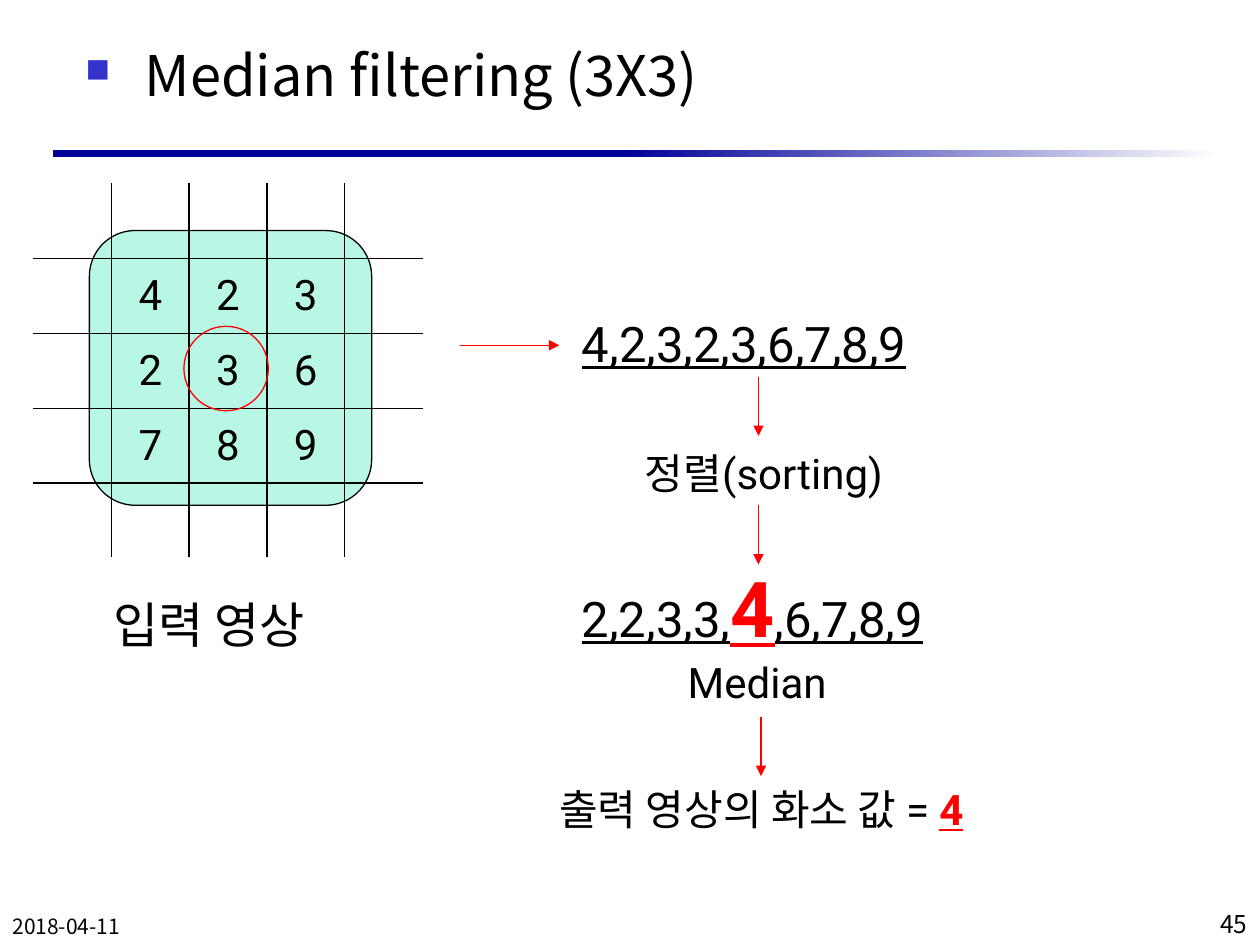
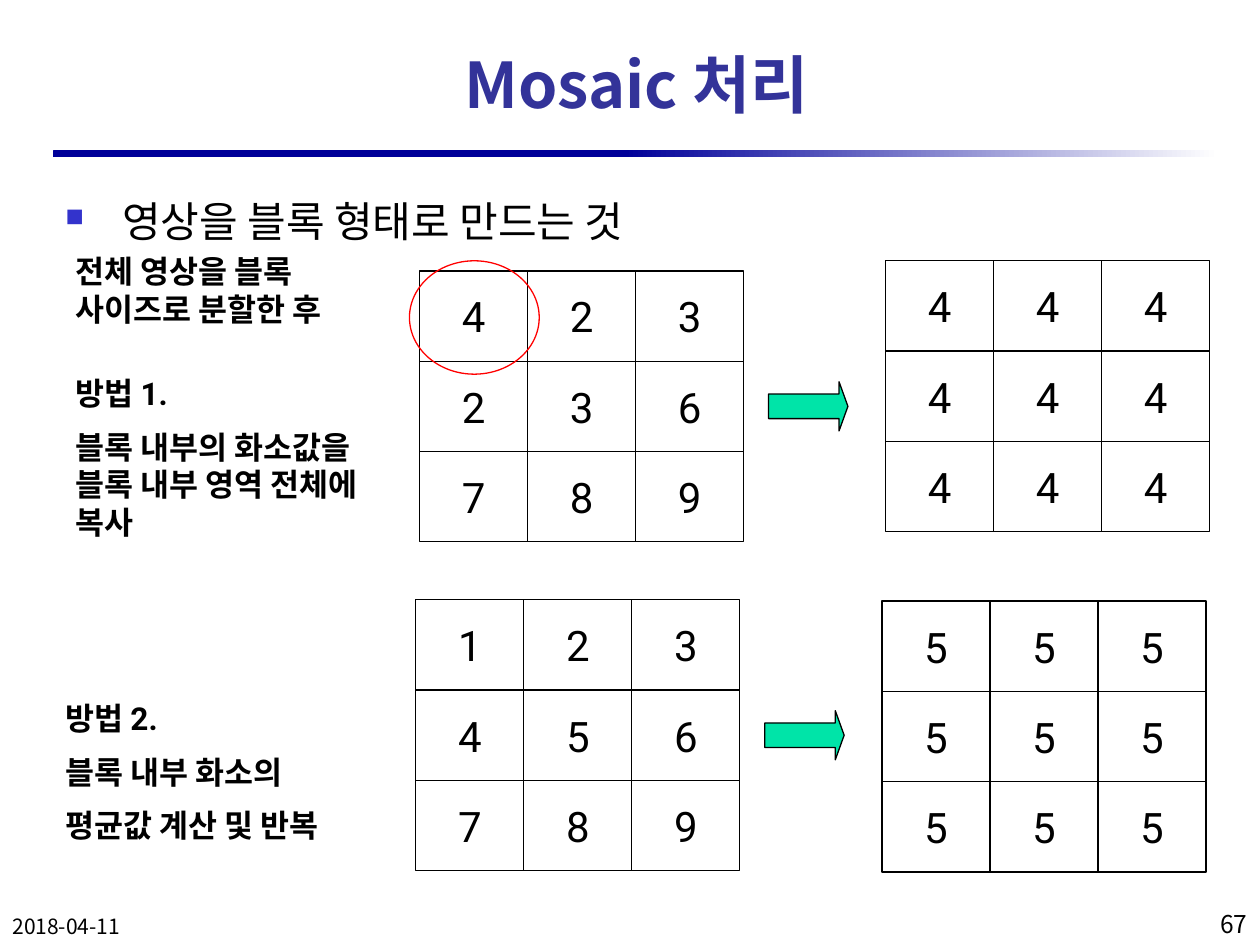
from lxml.etree import SubElement
from pptx import Presentation
from pptx.dml.color import RGBColor
from pptx.enum.shapes import MSO_CONNECTOR, MSO_SHAPE
from pptx.enum.text import MSO_ANCHOR, PP_ALIGN
from pptx.oxml.ns import qn
from pptx.util import Inches, Pt

BLACK, WHITE, RED = "000000", "FFFFFF", "FF0000"
NAVY, TITLE, MARK, GREEN = "000099", "333399", "3333CC", "00E4A8"
SANS, KOREAN = "Roboto", "Noto Sans CJK KR"
DATE = "2018-04-11"
CELL_W, CELL_H = 0.857, 0.717
COUNT = [[1, 2, 3], [4, 5, 6], [7, 8, 9]]
BLOCK = [[4, 2, 3], [2, 3, 6], [7, 8, 9]]


def color(code):
    return RGBColor.from_string(code)


def sub(node, tag, **attrs):
    return SubElement(node, qn(tag), attrs)


def box(x, y, w, h):
    return [Inches(v) for v in (x, y, w, h)]


def style(run, size, font=SANS, ink=BLACK, bold=False, under=False):
    face = run.font
    face.size, face.name, face.bold = Pt(size), font, bold
    face.underline = under
    face.color.rgb = color(ink)
    sub(face._element, "a:ea", typeface=KOREAN)


def write(frame, text, size, align=PP_ALIGN.LEFT, gap=0, **look):
    frame.text = text
    for i, para in enumerate(frame.paragraphs):
        para.alignment = align
        if i:
            para.space_before = Pt(gap)
        for run in para.runs:
            style(run, size, **look)


def label(slide, place, text, size, anchor=MSO_ANCHOR.TOP, **look):
    frame = slide.shapes.add_textbox(*box(*place)).text_frame
    frame.word_wrap = True
    frame.vertical_anchor = anchor
    write(frame, text, size, **look)
    return frame


def extend(frame, text, size, **look):
    run = frame.paragraphs[0].add_run()
    run.text = text
    style(run, size, **look)


def bullet(slide, place, text, size, indent, spacing):
    para = label(slide, place, text, size, font=KOREAN).paragraphs[0]
    para.line_spacing = spacing
    props = para._p.get_or_add_pPr()
    props.set("marL", str(Inches(indent)))
    props.set("indent", str(-Inches(indent)))
    sub(sub(props, "a:buClr"), "a:srgbClr", val=MARK)
    sub(props, "a:buSzPct", val="60000")
    sub(props, "a:buChar", char="■")


def shape(shapes, kind, place, fill=None, line=BLACK):
    item = shapes.add_shape(kind, *box(*place))
    item.shadow.inherit = False
    if fill:
        item.fill.solid()
        item.fill.fore_color.rgb = color(fill)
    else:
        item.fill.background()
    item.line.color.rgb = color(line)
    item.line.width = Pt(0.75)
    return item


def arrow(slide, x, y, dx, dy):
    ends = [Inches(v) for v in (x, y, x + dx, y + dy)]
    line = slide.shapes.add_connector(MSO_CONNECTOR.STRAIGHT, *ends)
    line.line.color.rgb = color(RED)
    line.line.width = Pt(0.75)
    sub(line.line._get_or_add_ln(), "a:tailEnd", type="triangle")
    sub(line._element.spPr, "a:effectLst")


def base(deck, number):
    slide = deck.slides.add_slide(deck.slide_layouts[6])
    band = shape(slide.shapes, MSO_SHAPE.ROUNDED_RECTANGLE,
                 (0.42, 1.19, 9.25, 0.06))
    band.line.fill.background()
    band.fill.gradient()
    band.fill.gradient_angle = 0
    for stop, spot, code in zip(band.fill.gradient_stops,
                                (0.49, 1), (NAVY, WHITE)):
        stop.position = spot
        stop.color.rgb = color(code)
    label(slide, (0, 7.17, 1.08, 0.33), DATE, 12, MSO_ANCHOR.BOTTOM,
          font=KOREAN)
    label(slide, (9.5, 7.17, 0.5, 0.33), str(number), 14, MSO_ANCHOR.BOTTOM,
          font=KOREAN, align=PP_ALIGN.RIGHT)
    return slide


def edge(cell, row, col, last):
    props = cell._tc.get_or_add_tcPr()
    rims = {"a:lnL": col == 0, "a:lnR": col == last,
            "a:lnT": row == 0, "a:lnB": row == last}
    for tag, rim in rims.items():
        line = sub(props, tag, w=str(Pt(1)))
        sub(sub(line, "a:solidFill"), "a:srgbClr", val=WHITE if rim else BLACK)


def window(slide, x, y, w, h):
    back = shape(slide.shapes, MSO_SHAPE.ROUNDED_RECTANGLE,
                 (x + 0.44, y + 0.37, 2.24, 2.18), GREEN)
    tint = back._element.spPr.find(qn("a:solidFill"))[0]
    sub(tint, "a:alpha", val="28000")
    size = len(BLOCK) + 2
    table = slide.shapes.add_table(size, size, *box(x, y, w, h)).table
    table.first_row = table.horz_banding = False
    for i in range(size):
        table.columns[i].width = Inches(w / size)
        table.rows[i].height = Inches(h / size)
        for j in range(size):
            cell = table.cell(i, j)
            edge(cell, i, j, size - 1)
            cell.fill.background()
            if 0 < i < size - 1 and 0 < j < size - 1:
                cell.vertical_anchor = MSO_ANCHOR.MIDDLE
                write(cell.text_frame, str(BLOCK[i - 1][j - 1]), 24,
                      PP_ALIGN.CENTER)
    shape(slide.shapes, MSO_SHAPE.OVAL, (x + 1.19, y + 1.13, 0.67, 0.67),
          line=RED)
    label(slide, (x + 0.53, y + 3.21, 2, 0.57), "입력 영상", 28)


def flow(slide, x, y):
    arrow(slide, x - 0.69, y + 0.3, 0.79, 0)
    label(slide, (x + 0.18, y, 3.15, 0.57), "4,2,3,2,3,6,7,8,9", 28,
          under=True)
    label(slide, (x + 0.68, y + 1.06, 2.19, 0.5), "정렬(sorting)", 24)
    ranks = label(slide, (x + 0.18, y + 1.96, 3.23, 0.84), "2,2,3,3,", 28,
                  under=True)
    extend(ranks, "4", 44, ink=RED, bold=True, under=True)
    extend(ranks, ",6,7,8,9", 28, under=True)
    label(slide, (x + 1.02, y + 2.72, 1.37, 0.5), "Median", 24)
    final = label(slide, (x, y + 3.73, 4.09, 0.5), "출력 영상의 화소 값 = ", 24)
    extend(final, "4", 24, ink=RED, bold=True, under=True)
    for dx, dy in ((1.68, 0.55), (1.68, 1.57), (1.7, 3.25)):
        arrow(slide, x + dx, y + dy, 0, 0.47)


def grid(slide, x, y, values):
    group = slide.shapes.add_group_shape()
    for i, row in enumerate(values):
        for j, value in enumerate(row):
            place = (x + j * CELL_W, y + i * CELL_H, CELL_W, CELL_H)
            frame = shape(group.shapes, MSO_SHAPE.RECTANGLE, place).text_frame
            frame.word_wrap = False
            frame.vertical_anchor = MSO_ANCHOR.MIDDLE
            write(frame, str(value), 24, PP_ALIGN.CENTER)


def change(slide, x, y, values, result, shift):
    grid(slide, x, y, values)
    grid(slide, x + 3.7, y + shift, [[result] * 3] * 3)
    point = shape(slide.shapes, MSO_SHAPE.RIGHT_ARROW,
                  (x + 2.77, y + 0.88, 0.63, 0.39), GREEN)
    point.adjustments[1] = 0.18


def note(slide, x, y, h, text):
    label(slide, (x, y, 2.58, h), text, 18, gap=9, bold=True)


def median(deck):
    slide = base(deck, 45)
    bullet(slide, (0.58, 0.33, 8.5, 0.63), "Median filtering (3X3)", 32,
           0.47, 0.9)
    window(slide, 0.27, 1.46, 3.08, 2.97)
    flow(slide, 4.34, 2.44)


def mosaic(deck):
    slide = base(deck, 67)
    label(slide, (0.83, 0.25, 8.44, 0.83), "Mosaic 처리", 36,
          MSO_ANCHOR.MIDDLE, align=PP_ALIGN.CENTER, font=KOREAN,
          ink=TITLE, bold=True)
    bullet(slide, (0.42, 1.42, 9.25, 5.75), "영상을 블록 형태로 만드는 것", 24,
           0.45, 1.2)
    change(slide, 3.33, 2.15, BLOCK, 4, -0.08)
    shape(slide.shapes, MSO_SHAPE.OVAL, (3.25, 2.07, 1.03, 0.9), line=RED)
    change(slide, 3.3, 4.76, COUNT, 5, 0.01)
    note(slide, 0.5, 1.95, 0.71, "전체 영상을 블록 사이즈로 분할한 후")
    note(slide, 0.5, 2.92, 1.77,
         "방법 1.\n블록 내부의 화소값을\v블록 내부 영역 전체에 복사")
    note(slide, 0.42, 5.5, 1.31,
         "방법 2.\n블록 내부 화소의\n평균값 계산 및 반복")


def main():
    deck = Presentation()
    deck.slide_width, deck.slide_height = Inches(10), Inches(7.5)
    median(deck)
    mosaic(deck)
    deck.save("out.pptx")


if __name__ == "__main__":
    main()
